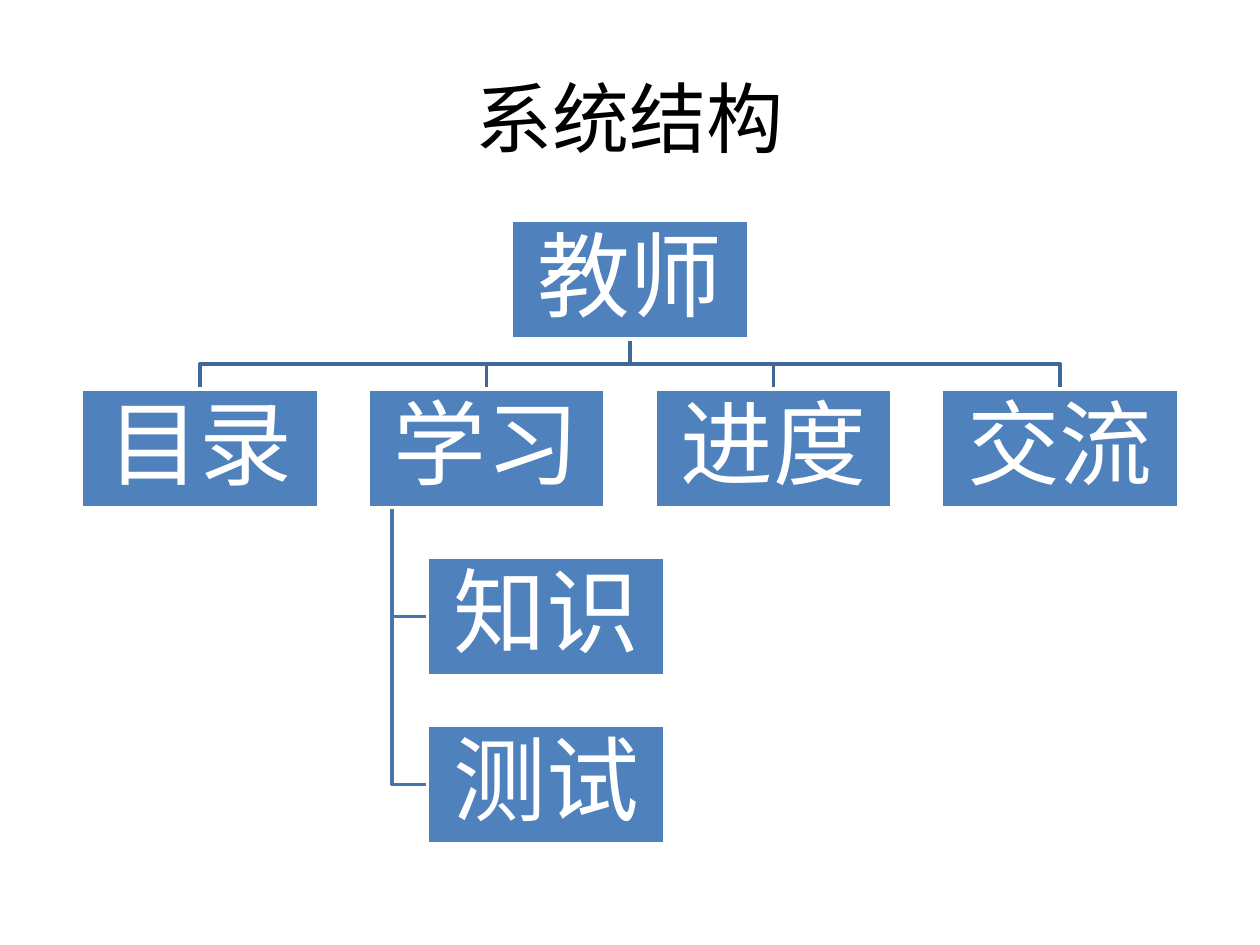
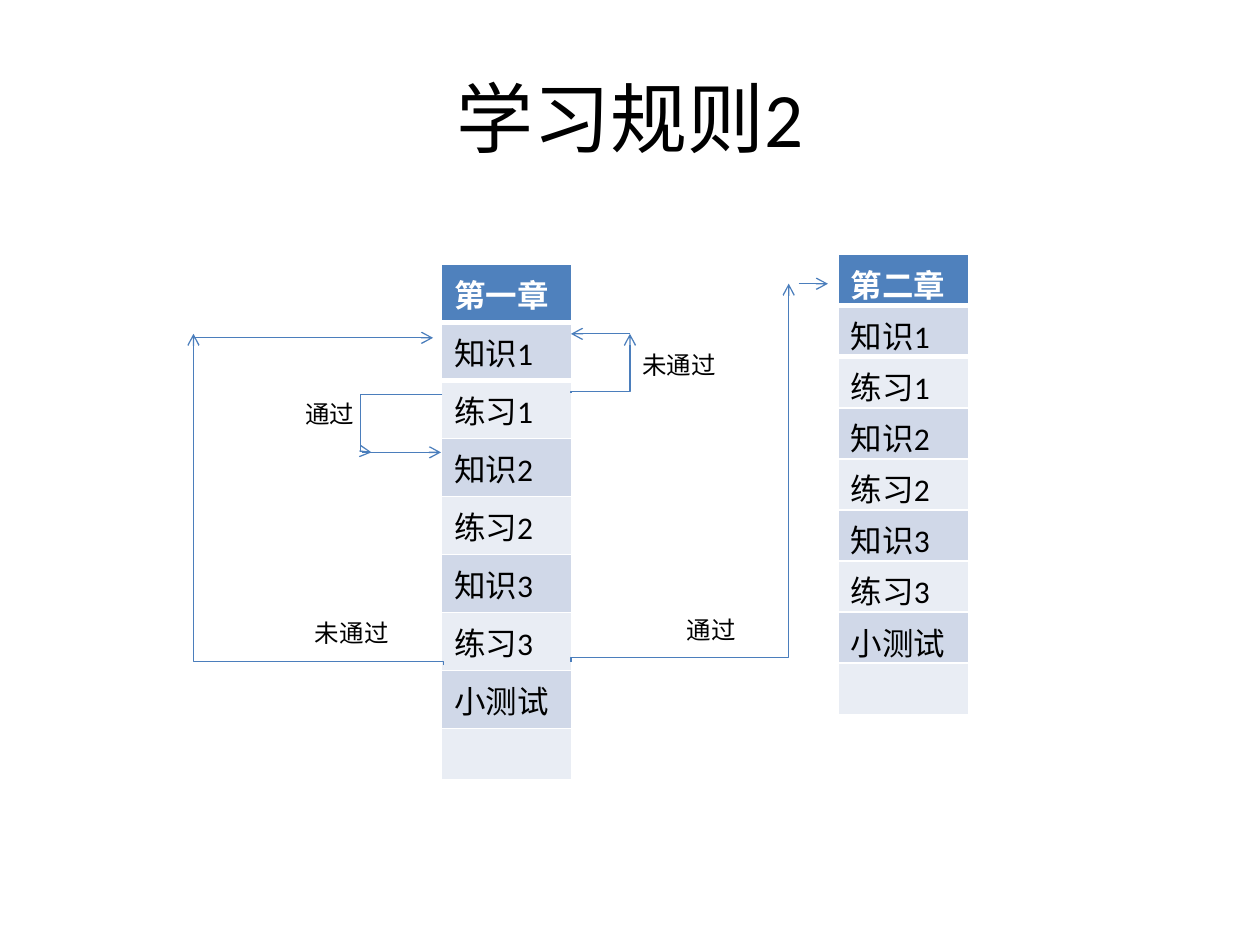
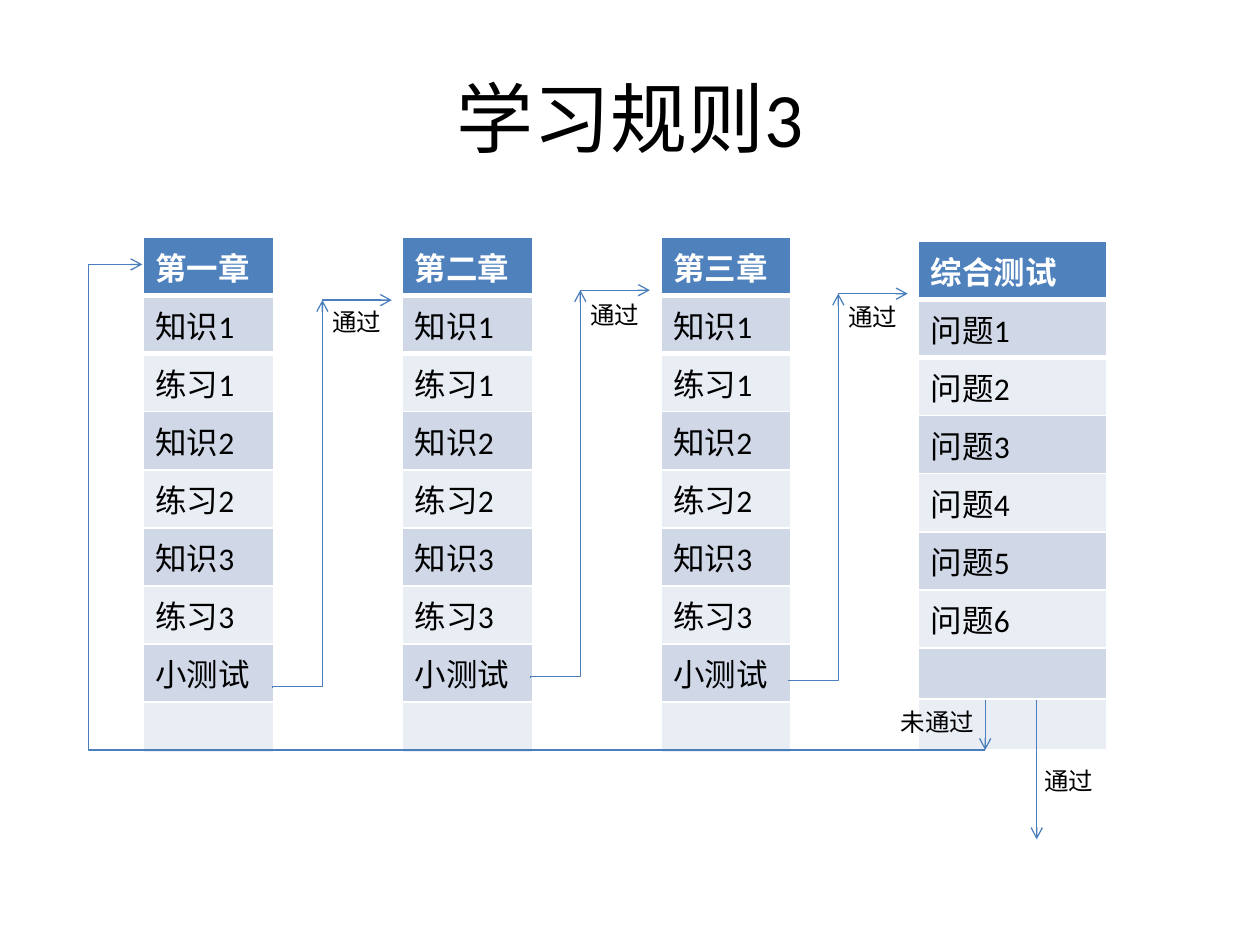
import math

import lxml.etree
import pptx
import pptx.dml.color
import pptx.enum.shapes
import pptx.enum.text
import pptx.oxml.ns
import pptx.util

Cm = pptx.util.Cm
RGBColor = pptx.dml.color.RGBColor
ALIGN = pptx.enum.text.PP_ALIGN
ANCHOR = pptx.enum.text.MSO_ANCHOR
CONNECTOR = pptx.enum.shapes.MSO_CONNECTOR
qn = pptx.oxml.ns.qn

BLACK = RGBColor(0x00, 0x00, 0x00)
WHITE = RGBColor(0xFF, 0xFF, 0xFF)
BLUE = RGBColor(0x4F, 0x81, 0xBD)
ARROW_BLUE = RGBColor(0x4B, 0x7E, 0xBC)
BRANCH_BLUE = RGBColor(0x3F, 0x67, 0x97)
SPINE_BLUE = RGBColor(0x48, 0x75, 0xAC)
BANDS = (RGBColor(0xD0, 0xD8, 0xE8), RGBColor(0xE9, 0xED, 0xF4))

FONT = "Calibri"
LOW_ROW, TEXT_ROW = 1.03, 1.17
CHAPTER_WIDTH = 2.63
LESSONS = ["知识1", "练习1", "知识2", "练习2", "知识3", "练习3", "小测试", ""]
QUESTIONS = [f"问题{number}" for number in range(1, 7)] + ["", ""]

BOX_WIDTH, BOX_HEIGHT = 4.78, 2.39
LEVEL_STEP, SIBLING_STEP = 3.39, 5.78


def write(text_frame, text, size=18, color=BLACK, bold=False, align=None, spacing=None):
    paragraph = text_frame.paragraphs[0]
    paragraph.alignment = align
    paragraph.line_spacing = spacing
    run = paragraph.add_run()
    run.text = text
    run.font.name = FONT
    run.font.size = pptx.util.Pt(size)
    run.font.bold = bold
    run.font.color.rgb = color


def add_white_border(cell, tag, points):
    """Border lines have to stand before the fill, so call this on an unfilled cell."""
    properties = cell._tc.get_or_add_tcPr()
    border = lxml.etree.SubElement(properties, qn(tag), w=str(pptx.util.Pt(points)))
    fill = lxml.etree.SubElement(border, qn("a:solidFill"))
    lxml.etree.SubElement(fill, qn("a:srgbClr"), val=str(WHITE))


class Deck:
    """Holds the presentation and the slide being drawn; lengths are in centimetres."""

    def __init__(self):
        self.presentation = pptx.Presentation()
        self.presentation.slide_width = Cm(25.4)
        self.presentation.slide_height = Cm(19.05)
        self.slide = None

    def new_slide(self, title):
        layout = self.presentation.slide_layouts[6]
        self.slide = self.presentation.slides.add_slide(layout)
        shape = self.slide.shapes.add_textbox(Cm(1.27), Cm(0.76), Cm(22.86), Cm(3.18))
        shape.text_frame.word_wrap = True
        shape.text_frame.vertical_anchor = ANCHOR.MIDDLE
        write(shape.text_frame, title, size=44, align=ALIGN.CENTER)

    def label(self, text, left, top):
        width = 0.5 + 0.5 * len(text)
        shape = self.slide.shapes.add_textbox(Cm(left), Cm(top), Cm(width), Cm(0.86))
        shape.text_frame.word_wrap = False
        shape.text_frame.auto_size = pptx.enum.text.MSO_AUTO_SIZE.SHAPE_TO_FIT_TEXT
        write(shape.text_frame, text, size=14)

    def box(self, text, left, top):
        shape = self.slide.shapes.add_shape(
            pptx.enum.shapes.MSO_SHAPE.RECTANGLE,
            Cm(left), Cm(top), Cm(BOX_WIDTH), Cm(BOX_HEIGHT))
        shape.shadow.inherit = False
        shape.fill.solid()
        shape.fill.fore_color.rgb = BLUE
        shape.line.color.rgb = WHITE
        shape.line.width = pptx.util.Pt(2)
        frame = shape.text_frame
        frame.margin_left = frame.margin_right = Cm(0.1)
        frame.margin_top = frame.margin_bottom = Cm(0.1)
        frame.vertical_anchor = ANCHOR.MIDDLE
        write(frame, text, size=53, color=WHITE, align=ALIGN.CENTER, spacing=0.9)

    def branch(self, color, *points):
        start, *others = [(Cm(x), Cm(y)) for x, y in points]
        builder = self.slide.shapes.build_freeform(*start)
        builder.add_line_segments(others, close=False)
        shape = builder.convert_to_shape()
        shape.shadow.inherit = False
        shape.fill.background()
        shape.line.color.rgb = color
        shape.line.width = pptx.util.Pt(2)

    def column(self, header, entries, left, top, width=CHAPTER_WIDTH, text_row=TEXT_ROW):
        """Draw a one-column table whose rows without text are low."""
        texts = [header, *entries]
        heights = [text_row if text else LOW_ROW for text in texts]
        table = self.slide.shapes.add_table(
            len(texts), 1, Cm(left), Cm(top), Cm(width), Cm(sum(heights))).table
        add_white_border(table.cell(0, 0), "a:lnB", 3)
        add_white_border(table.cell(1, 0), "a:lnT", 3)
        for index, (text, height) in enumerate(zip(texts, heights)):
            table.rows[index].height = Cm(height)
            cell = table.cell(index, 0)
            cell.fill.solid()
            cell.fill.fore_color.rgb = BANDS[(index - 1) % 2] if index else BLUE
            if text:
                write(cell.text_frame, text, bold=index == 0,
                      color=BLACK if index else WHITE)

    def arrow(self, begin, end, kind=CONNECTOR.STRAIGHT):
        connector = self.slide.shapes.add_connector(
            kind, *(Cm(value) for value in (*begin, *end)))
        connector.line.color.rgb = ARROW_BLUE
        connector.line.width = pptx.util.Pt(0.75)
        line = connector.line._get_or_add_ln()
        lxml.etree.SubElement(line, qn("a:tailEnd"), type="arrow")
        lxml.etree.SubElement(connector.element.spPr, qn("a:effectLst"))
        return connector

    def elbow(self, begin, end, rotation, bend):
        """Turn a three-part elbow by rotation; bend is the share of the run before its turn."""
        center_x, center_y = (begin[0] + end[0]) / 2, (begin[1] + end[1]) / 2
        cosine = math.cos(math.radians(rotation))
        sine = math.sin(math.radians(rotation))

        def unturned(point):
            x, y = point[0] - center_x, point[1] - center_y
            return center_x + x * cosine + y * sine, center_y - x * sine + y * cosine

        connector = self.arrow(unturned(begin), unturned(end), CONNECTOR.ELBOW)
        properties = connector.element.spPr
        properties.find(qn("a:xfrm")).set("rot", str(rotation * 60000))
        adjustments = properties.find(qn("a:prstGeom")).find(qn("a:avLst"))
        lxml.etree.SubElement(adjustments, qn("a:gd"), name="adj1",
                              fmla=f"val {round(bend * 100000)}")

    def climb(self, begin, end, rise=0.01):
        """Rise a little, run sideways, then go up to the end."""
        rotation = 90 if end[0] > begin[0] else 270
        self.elbow(begin, end, rotation, rise / (begin[1] - end[1]))

    def detour(self, begin, end, lane):
        """Run out left to the lane, along it, and back to the end."""
        self.elbow(begin, end, 180, (lane - begin[0]) / (end[0] - begin[0]))


def draw_structure(deck):
    deck.new_slide("系统结构")
    center, root_top = 12.7, 4.45
    root_bottom = root_top + BOX_HEIGHT
    module_top = root_top + LEVEL_STEP
    bus = (root_bottom + module_top) / 2
    modules = ["目录", "学习", "进度", "交流"]
    module_centers = [center + SIBLING_STEP * (index - 1.5) for index in range(len(modules))]
    study_left = module_centers[1] - BOX_WIDTH / 2
    spine, part_left = study_left + 0.48, study_left + 1.2
    parts = [(text, module_top + LEVEL_STEP * level)
             for level, text in enumerate(["知识", "测试"], start=1)]

    for x in module_centers:
        deck.branch(BRANCH_BLUE, (center, root_bottom), (center, bus), (x, bus), (x, module_top))
    for text, top in parts:
        middle = top + BOX_HEIGHT / 2
        deck.branch(SPINE_BLUE, (spine, module_top + BOX_HEIGHT), (spine, middle),
                    (part_left, middle))
    deck.box("教师", center - BOX_WIDTH / 2, root_top)
    for text, x in zip(modules, module_centers):
        deck.box(text, x - BOX_WIDTH / 2, module_top)
    for text, top in parts:
        deck.box(text, part_left, top)


def draw_chapter_rules(deck):
    deck.new_slide("学习规则2")
    deck.column("第一章", LESSONS, 8.9, 5.33)
    deck.column("第二章", LESSONS, 16.9, 5.13, text_row=LOW_ROW)

    deck.climb((8.94, 13.41), (3.9, 6.73), rise=0.07)
    deck.arrow((3.9, 6.81), (8.73, 6.81))
    deck.label("未通过", 6.1, 12.33)

    deck.climb((11.51, 13.34), (15.9, 5.72), rise=0.08)
    deck.arrow((16.1, 5.72), (16.69, 5.72))
    deck.label("通过", 13.59, 12.27)

    deck.climb((11.51, 7.92), (12.7, 6.73), rise=0.03)
    deck.arrow((12.7, 6.73), (11.51, 6.73))
    deck.label("未通过", 12.7, 6.93)

    deck.detour((8.92, 7.95), (7.49, 9.12), lane=7.27)
    deck.arrow((7.29, 9.12), (8.89, 9.12))
    deck.label("通过", 5.9, 7.92)


def draw_course_rules(deck):
    deck.new_slide("学习规则3")
    for header, left in (("第一章", 2.88), ("第二章", 8.11), ("第三章", 13.32)):
        deck.column(header, LESSONS, left, 4.79)
    deck.column("综合测试", QUESTIONS, 18.51, 4.87, width=3.8)

    for lane, top, label_top in ((6.5, 6.05, 6.06), (11.7, 5.85, 5.92), (16.9, 5.92, 5.97)):
        deck.climb((lane - 1, top + 7.8), (lane, top))
        deck.arrow((lane, top), (lane + 1.4, top))
        deck.label("通过", lane - 0.05, label_top)

    deck.detour((19.86, 15.12), (2.87, 5.33), lane=1.78)
    deck.arrow((19.86, 14.12), (19.86, 15.12))
    deck.label("未通过", 17.91, 14.12)
    deck.arrow((20.9, 14.12), (20.9, 16.92))
    deck.label("通过", 20.8, 15.32)


def main():
    deck = Deck()
    draw_structure(deck)
    draw_chapter_rules(deck)
    draw_course_rules(deck)
    deck.presentation.save("out.pptx")


if __name__ == "__main__":
    main()
